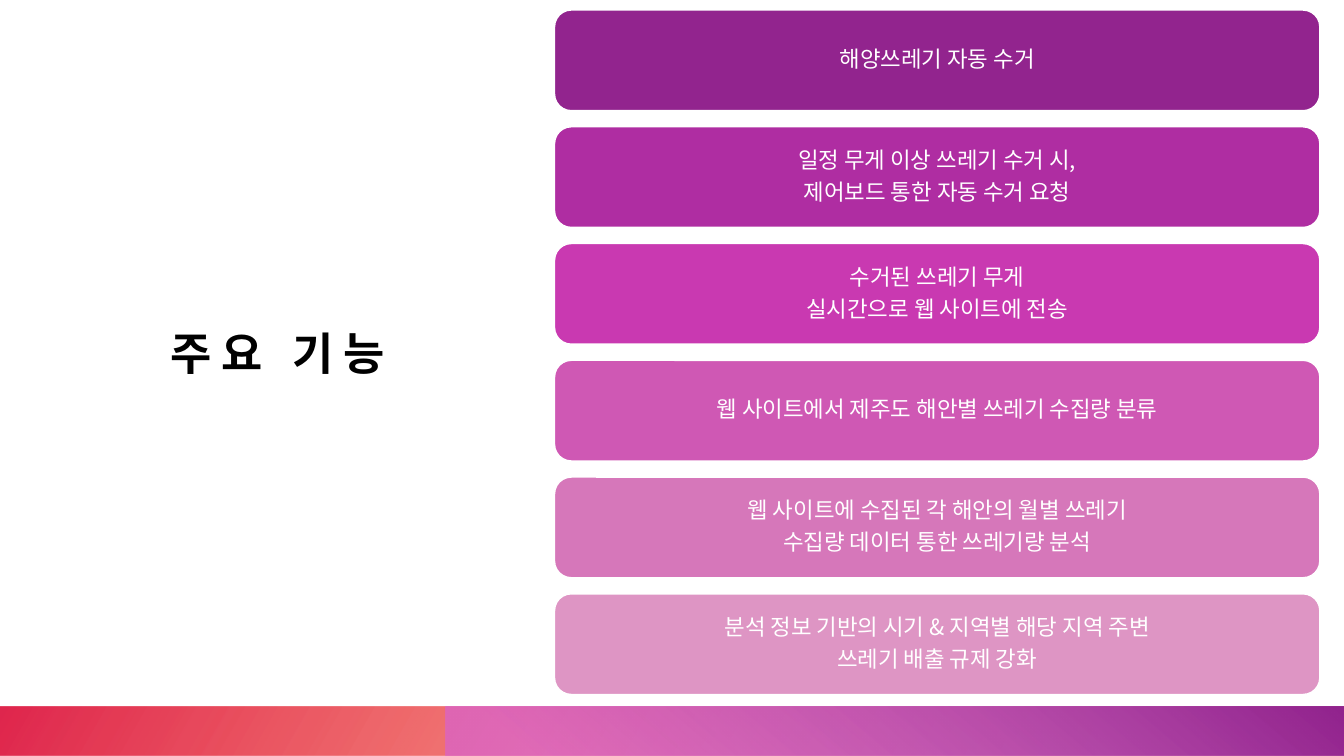
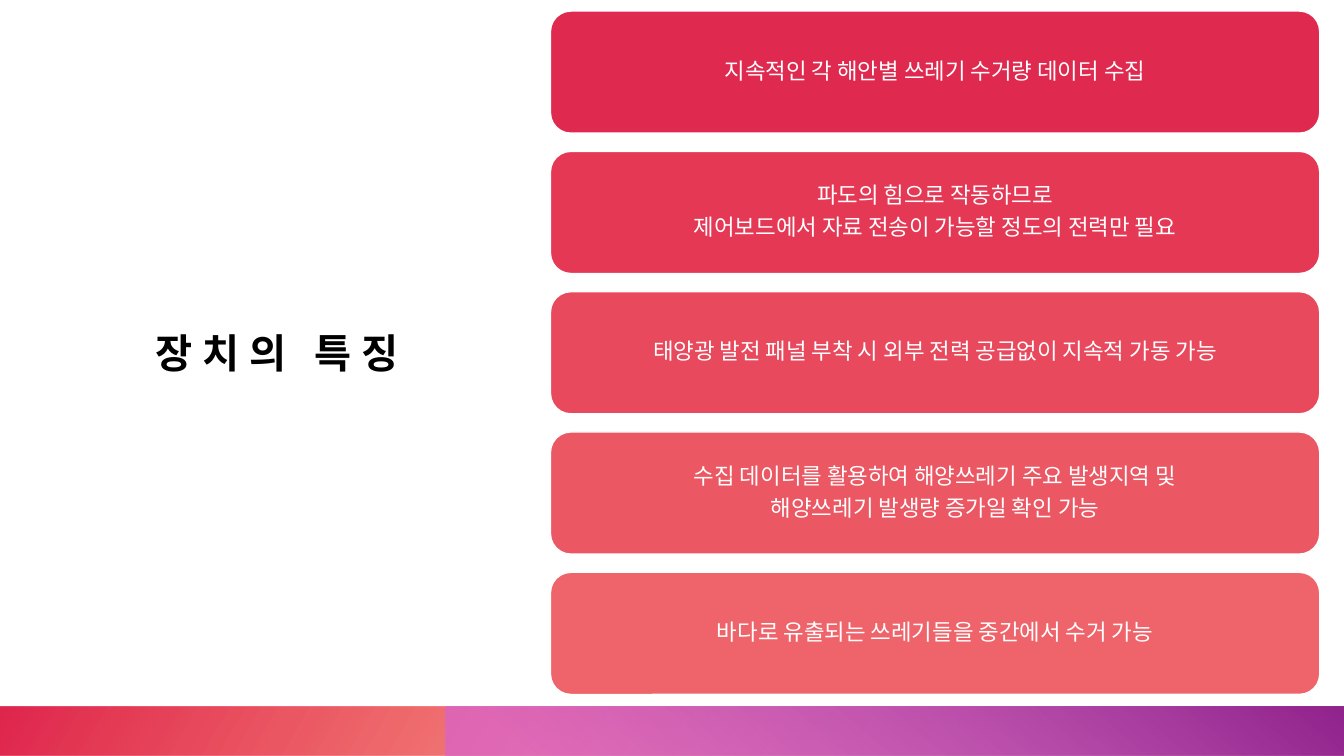
from lxml import etree
from pptx import Presentation
from pptx.dml.color import RGBColor
from pptx.enum import shapes, text
from pptx.oxml.ns import qn
from pptx.util import Inches, Pt

SLIDE_WIDTH, SLIDE_HEIGHT = 13.33, 7.5
TITLE_BOX = (1.37, 2.98, 2.76, 1.04)
BAND_TOP, BAND_HEIGHT = 7.01, 0.49
TITLE_FONT, BODY_FONT = "Cabin", "Noto Sans CJK KR"
WHITE, BLACK = "FFFFFF", "000000"

# Each band: left, width, rotation, clockwise gradient angle, stops (position, colour, opacity %)
BANDS = [
    (0, SLIDE_WIDTH, 180, 150, [(0.14, "FE4A00", 28), (1, "DA002F", 85)]),
    (4.42, 8.92, 0, 230, [(0.09, "D861D4", 68), (0.99, "92248E", 100)]),
]

SLIDES = [
    {
        "title": "주요 기능",
        "title_size": 32,
        "box": (5.5, 0.1, 7.59, 6.79),
        "gap": 0.16,
        "cards": [
            ("92248E", ["해양쓰레기 자동 수거"]),
            ("AF2DA2", ["일정 무게 이상 쓰레기 수거 시,", "제어보드 통한 자동 수거 요청"]),
            ("C939B1", ["수거된 쓰레기 무게", "실시간으로 웹 사이트에 전송"]),
            ("CF58B4", ["웹 사이트에서 제주도 해안별 쓰레기 수집량 분류"]),
            ("D677BA", ["웹 사이트에 수집된 각 해안의 월별 쓰레기",
                        "수집량 데이터 통한 쓰레기량 분석"]),
            ("DE95C4", ["분석 정보 기반의 시기 & 지역별 해당 지역 주변",
                        "쓰레기 배출 규제 강화"]),
        ],
    },
    {
        "title": "장치의 특징",
        "title_size": 28.8,
        "box": (5.46, 0.11, 7.63, 6.78),
        "gap": 0.18,
        "cards": [
            ("E0294F", ["지속적인 각 해안별 쓰레기 수거량 데이터 수집"]),
            ("E43855", ["파도의 힘으로 작동하므로",
                        "제어보드에서 자료 전송이 가능할 정도의 전력만 필요"]),
            ("E8495C", ["태양광 발전 패널 부착 시 외부 전력 공급없이 지속적 가동 가능"]),
            ("EB5763", ["수집 데이터를 활용하여 해양쓰레기 주요 발생지역 및",
                        "해양쓰레기 발생량 증가일 확인 가능"]),
            ("EE646A", ["바다로 유출되는 쓰레기들을 중간에서 수거 가능"]),
        ],
    },
]


def colour(value):
    return RGBColor.from_string(value)


def write_text(shape, lines, *, size, font, fill, bold=False, margin=0.0,
               line_spacing=1.0, space_after=0, tracking=0):
    """Write centred lines, one paragraph each; tracking is in points."""
    frame = shape.text_frame
    frame.text = "\n".join(lines)
    frame.word_wrap = True
    frame.auto_size = text.MSO_AUTO_SIZE.NONE
    frame.vertical_anchor = text.MSO_ANCHOR.MIDDLE
    frame.margin_left = frame.margin_right = Inches(margin)
    frame.margin_top = frame.margin_bottom = Inches(margin)
    for paragraph in frame.paragraphs:
        paragraph.alignment = text.PP_ALIGN.CENTER
        paragraph.line_spacing = line_spacing
        paragraph.space_after = Pt(space_after)
        run = paragraph.runs[0]
        run.font.size = Pt(size)
        run.font.bold = bold
        run.font.color.rgb = colour(fill)
        run.font.name = font
        properties = run.font._element
        east_asian = etree.SubElement(properties, qn("a:ea"))
        east_asian.set("typeface", BODY_FONT)
        if tracking:
            properties.set("spc", str(tracking * 100))


def add_band(slide, left, width, rotation, angle, stops):
    band = slide.shapes.add_shape(
        shapes.MSO_SHAPE.RECTANGLE,
        Inches(left), Inches(BAND_TOP), Inches(width), Inches(BAND_HEIGHT))
    band.shadow.inherit = False
    band.line.fill.background()
    band.rotation = rotation
    band._element.spPr.find(qn("a:xfrm")).set("flipH", "1")
    band.fill.gradient()
    band.fill.gradient_angle = 360 - angle
    for stop, (position, value, opacity) in zip(band.fill.gradient_stops, stops):
        stop.position = position
        stop.color.rgb = colour(value)
        if opacity < 100:
            rgb = stop._gs.find(qn("a:srgbClr"))
            etree.SubElement(rgb, qn("a:alpha")).set("val", str(opacity * 1000))


def place_title(slide, title, size):
    shape = slide.shapes.title
    shape.left, shape.top, shape.width, shape.height = map(Inches, TITLE_BOX)
    write_text(shape, [title], size=size, font=TITLE_FONT, fill=BLACK,
               bold=True, tracking=7)


def add_card_column(slide, box, cards, gap):
    """Stack equal cards that fill the box from top to bottom."""
    left, top, width, height = box
    card_height = (height - gap * (len(cards) - 1)) / len(cards)
    for index, (fill, lines) in enumerate(cards):
        card = slide.shapes.add_shape(
            shapes.MSO_SHAPE.ROUNDED_RECTANGLE,
            Inches(left), Inches(top + index * (card_height + gap)),
            Inches(width), Inches(card_height))
        card.shadow.inherit = False
        card.fill.solid()
        card.fill.fore_color.rgb = colour(fill)
        card.line.color.rgb = colour(WHITE)
        card.line.width = Pt(1)
        write_text(card, lines, size=16, font=BODY_FONT, fill=WHITE,
                   margin=0.07, line_spacing=0.9, space_after=5.6)


def add_feature_slide(presentation, content):
    slide = presentation.slides.add_slide(presentation.slide_layouts[5])
    place_title(slide, content["title"], content["title_size"])
    for band in BANDS:
        add_band(slide, *band)
    add_card_column(slide, content["box"], content["cards"], content["gap"])


def main():
    presentation = Presentation()
    presentation.slide_width = Inches(SLIDE_WIDTH)
    presentation.slide_height = Inches(SLIDE_HEIGHT)
    for content in SLIDES:
        add_feature_slide(presentation, content)
    presentation.save("out.pptx")


if __name__ == "__main__":
    main()
